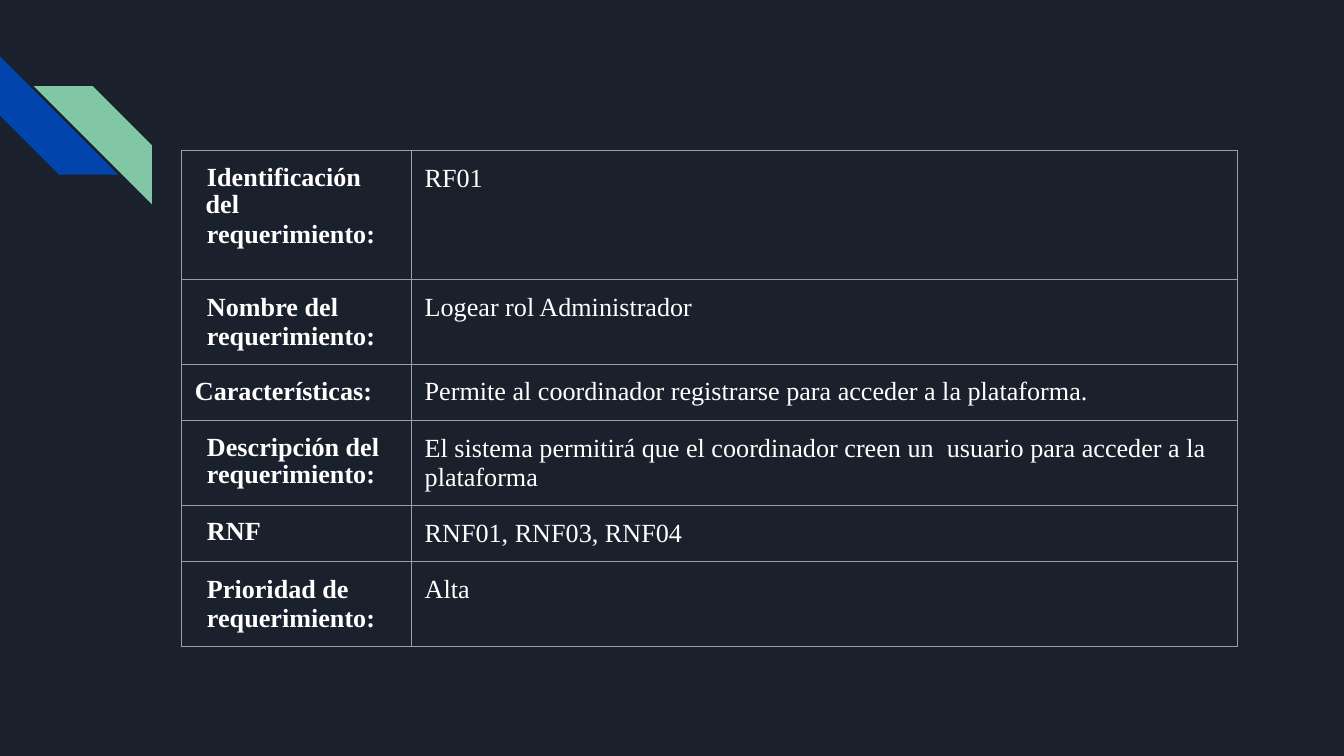
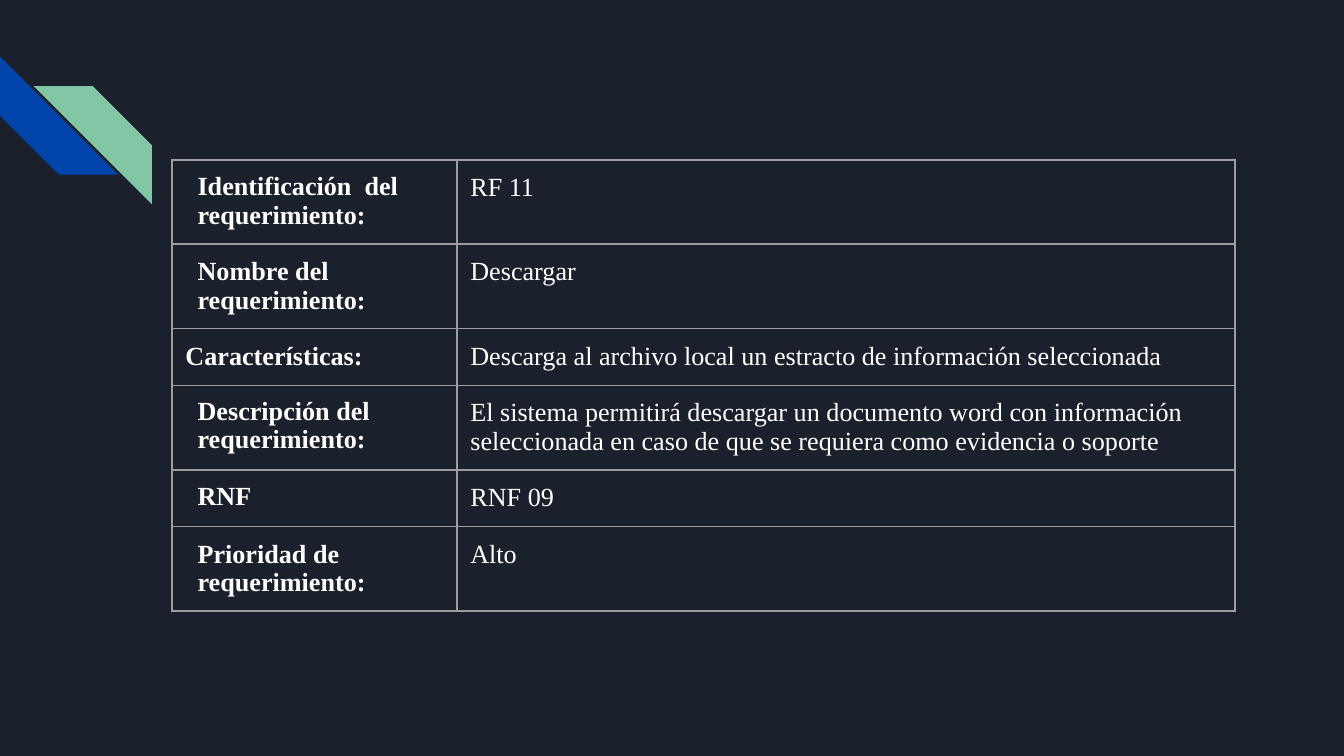
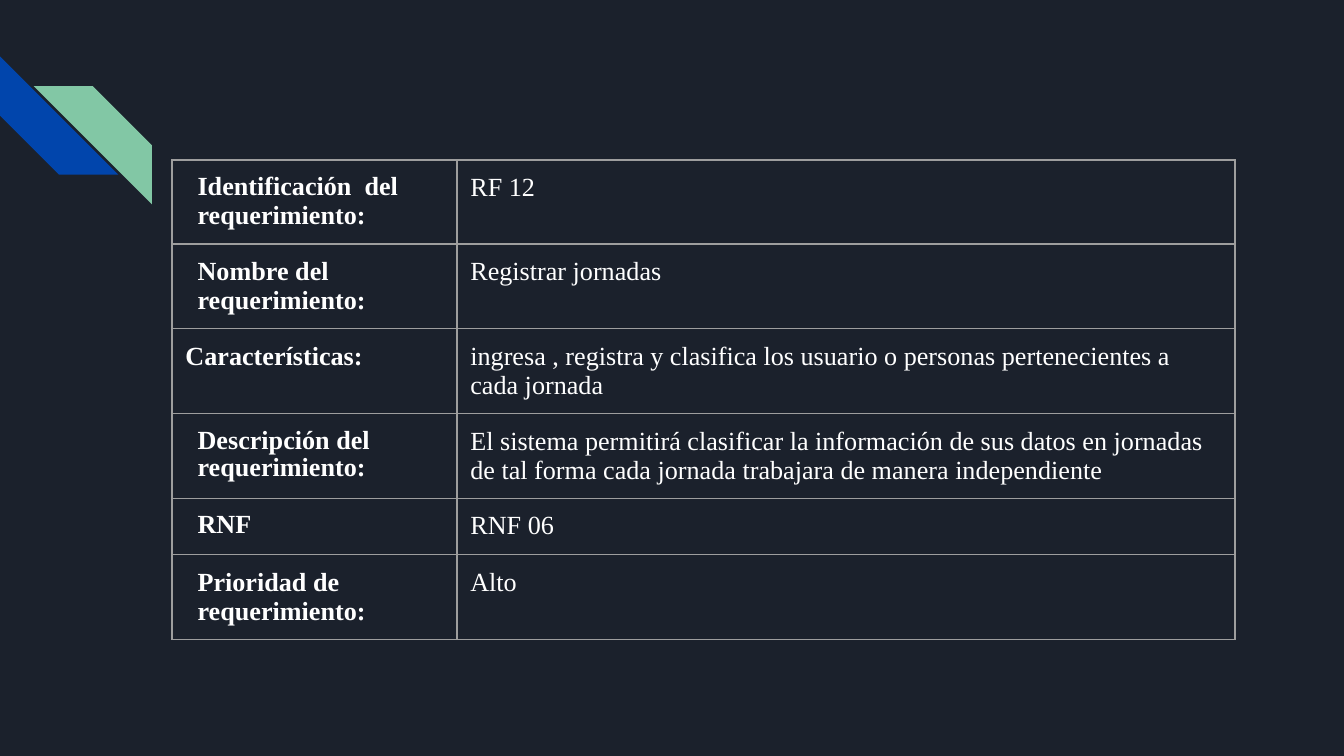
"""Build three requirement sheets as tables on a dark striped slide."""
from dataclasses import dataclass

from lxml.etree import SubElement as Sub
from pptx import Presentation as Deck
from pptx.dml.color import RGBColor as Rgb
from pptx.enum.shapes import MSO_SHAPE as Kind
from pptx.oxml.ns import qn
from pptx.util import Inches, Pt


@dataclass(frozen=True)
class Theme:
    back: str = "1B212C"
    blue: str = "0145AC"
    green: str = "82C7A5"
    text: str = "FFFFFF"
    rule: str = "9E9E9E"
    font: str = "Times New Roman"
    size: float = 14
    line: float = 0.75
    pad: float = 0.1
    tight: float = 0.96


@dataclass(frozen=True)
class Para:
    left: float = 0
    first: float = 0
    space: float = None
    above: float = None


PLAIN = Para()
INSET = Para(left=0.09)
SNUG = Para(left=0.09, space=Theme.tight)
HEAD = Para(left=0.08, first=0.01, space=Theme.tight)
NEXT = Para(left=0.09, above=0.3)

LABELS = [
    ("Identificación  del\nrequerimiento:", [HEAD, NEXT]),
    ("Nombre del\nrequerimiento:", [INSET, INSET]),
    ("Características:", [PLAIN]),
    ("Descripción del  requerimiento:", [SNUG]),
    ("RNF", [SNUG]),
    ("Prioridad de\nrequerimiento:", [INSET, INSET]),
]
ROW = 0.42
WIDE = (1.28, 1.19, (2.12, 5.79), ROW)
SHEETS = [
    ((1.35, 1.12, (1.71, 6.15), 0.96), [
        "RF01",
        "Logear rol Administrador",
        "Permite al coordinador registrarse para acceder a la plataforma.",
        "El sistema permitirá que el coordinador creen un  usuario para "
        "acceder a la plataforma",
        "RNF01, RNF03, RNF04",
        "Alta",
    ]),
    (WIDE, [
        "RF 11",
        "Descargar",
        "Descarga al archivo local un estracto de información seleccionada",
        "El sistema permitirá descargar un documento word con información "
        "seleccionada en caso de que se requiera como evidencia o soporte",
        "RNF 09",
        "Alto",
    ]),
    (WIDE, [
        "RF 12",
        "Registrar jornadas",
        "ingresa , registra y clasifica los usuario o personas "
        "pertenecientes a cada jornada",
        "El sistema permitirá clasificar la información de sus datos en "
        "jornadas de tal forma cada jornada trabajara de manera independiente",
        "RNF 06",
        "Alto",
    ]),
]


class Maker:
    def __init__(self, theme):
        self.theme = theme
        self.deck = Deck()
        self.deck.slide_width = Inches(10)
        self.deck.slide_height = Inches(10) * 9 // 16
        fill = self.deck.slide_master.background.fill
        fill.solid()
        fill.fore_color.rgb = Rgb.from_string(theme.back)
        self.slide = None

    def page(self):
        self.slide = self.deck.slides.add_slide(self.deck.slide_layouts[6])
        self.stripe(0, 0.42, 270, self.theme.blue)
        self.stripe(0.25, 0.64, 90, self.theme.green)

    def stripe(self, left, top, turn, color):
        side = Inches(0.88)
        shape = self.slide.shapes.add_shape(
            Kind.DIAGONAL_STRIPE, Inches(left), Inches(top), side, side)
        shape.rotation = turn
        shape.shadow.inherit = False
        shape.fill.solid()
        shape.fill.fore_color.rgb = Rgb.from_string(color)
        shape.line.fill.background()

    def table(self, left, top, widths, first, values):
        heights = [first] + [ROW] * (len(values) - 1)
        table = self.slide.shapes.add_table(
            len(values), len(widths), Inches(left), Inches(top),
            Inches(sum(widths)), Inches(sum(heights))).table
        table.first_row = table.horz_banding = False
        for col, width in zip(table.columns, widths):
            col.width = Inches(width)
        for row, height in zip(table.rows, heights):
            row.height = Inches(height)
        for row, ((label, paras), value) in enumerate(zip(LABELS, values)):
            self.cell(table.cell(row, 0), label, paras, True)
            self.cell(table.cell(row, 1), value, [PLAIN], False)

    def cell(self, cell, text, paras, bold):
        cell.margin_left = cell.margin_right = Inches(self.theme.pad)
        cell.margin_top = cell.margin_bottom = Inches(self.theme.pad)
        self.border(cell)
        cell.fill.background()
        cell.text_frame.text = text
        for para, form in zip(cell.text_frame.paragraphs, paras):
            self.style(para, form, bold)

    def border(self, cell):
        props = cell._tc.get_or_add_tcPr()
        for side in ("lnL", "lnR", "lnT", "lnB"):
            line = Sub(props, qn("a:" + side), w=str(Pt(self.theme.line)))
            fill = Sub(line, qn("a:solidFill"))
            Sub(fill, qn("a:srgbClr"), val=self.theme.rule)

    def style(self, para, form, bold):
        props = para._p.get_or_add_pPr()
        props.set("marL", str(Inches(form.left)))
        props.set("indent", str(Inches(form.first)))
        if form.space is not None:
            para.line_spacing = form.space
        if form.above is not None:
            para.space_before = Pt(form.above)
        for run in para.runs:
            run.font.name = self.theme.font
            run.font.size = Pt(self.theme.size)
            run.font.bold = bold
            run.font.color.rgb = Rgb.from_string(self.theme.text)


def main():
    maker = Maker(Theme())
    for frame, values in SHEETS:
        maker.page()
        maker.table(*frame, values)
    maker.deck.save("out.pptx")


if __name__ == "__main__":
    main()
